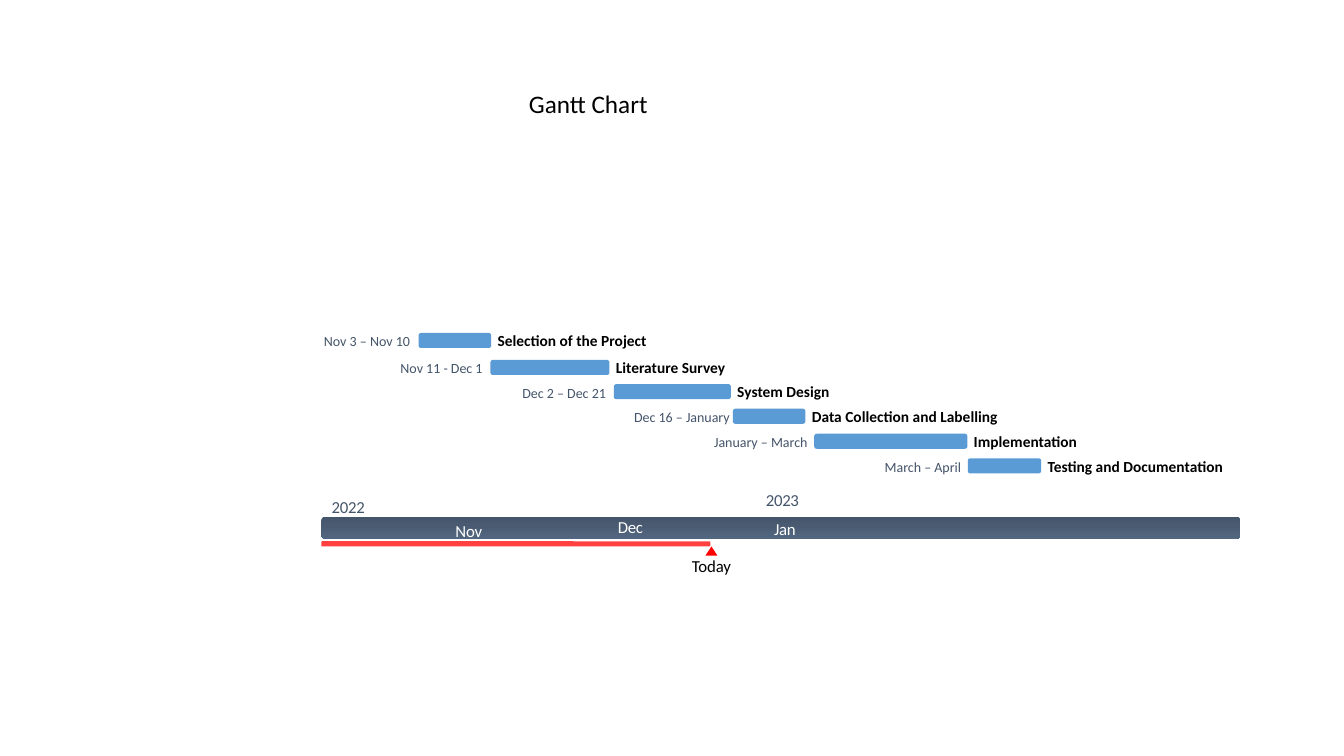
from pptx import Presentation, util as u
from pptx.dml.color import RGBColor
from pptx.enum import shapes, text
from pptx.oxml import ns, xmlchemy

SLATE, BLUE, RED = "44546A", "5B9BD5", "FF0000"
BLACK, WHITE = "000000", "FFFFFF"
LEFT, CENTER, RIGHT = text.PP_ALIGN.LEFT, text.PP_ALIGN.CENTER, text.PP_ALIGN.RIGHT
ROUNDED = shapes.MSO_SHAPE.ROUNDED_RECTANGLE
TRIANGLE = shapes.MSO_SHAPE.ISOSCELES_TRIANGLE

BAR_HEIGHT, DATE_HEIGHT, NAME_HEIGHT, NAME_GAP = 0.38, 0.43, 0.48, 0.16
NAME_WIDTH, MONTH_WIDTH, LABEL_HEIGHT = 5.05, 1, 0.5

TASKS = [
    ("Nov 3 – Nov 10", 0.22, 10.55, 8.58, 1.83, "Selection of the Project"),
    ("Nov 11 - Dec 1", 0.2, 12.36, 9.26, 3, "Literature Survey"),
    ("Dec 2 – Dec 21", 0.2, 15.47, 9.87, 2.95, "System Design"),
    ("Dec 16 – January", 0.08, 18.47, 10.49, 1.83, "Data Collection and Labelling"),
    ("January – March", 0.17, 20.52, 11.12, 3.86, "Implementation"),
    ("March – April", 0.17, 24.39, 11.74, 1.85, "Testing and Documentation"),
]
TIMELINE_LABELS = [
    ("Nov", 11.48, 13.12, WHITE),
    ("Dec", 15.57, 13.03, WHITE),
    ("Jan", 19.51, 13.08, WHITE),
    ("2022", 8.36, 12.52, SLATE),
    ("2023", 19.3, 12.34, SLATE),
]


def color(value):
    return RGBColor.from_string(value)


def write(frame, words, size=12, ink=BLACK, bold=False, align=LEFT, spacing=0, font="Calibri"):
    para = frame.paragraphs[0]
    para.alignment = align
    span = para.add_run()
    span.text = words
    span.font.name = font
    span.font.size = u.Pt(size)
    span.font.bold = bold
    span.font.color.rgb = color(ink)
    if spacing:
        span._r.get_or_add_rPr().set("spc", str(round(spacing * 100)))


class GanttPage:
    def __init__(self, deck):
        self.page = deck.slides.add_slide(deck.slide_layouts[6])

    def shape(self, kind, left, top, width, height, fill, fade=None, opacity=None):
        item = self.page.shapes.add_shape(kind, *map(u.Cm, (left, top, width, height)))
        item.shadow.inherit = False
        item.line.fill.background()
        if fade:
            item.fill.gradient()
            item.fill.gradient_angle = 270
            for stop, value, position in zip(item.fill.gradient_stops, (fill, fade), (0, 1)):
                stop.color.rgb = color(value)
                stop.position = position
        else:
            item.fill.solid()
            item.fill.fore_color.rgb = color(fill)
        if opacity:
            alpha = xmlchemy.OxmlElement("a:alpha")
            alpha.set("val", str(opacity * 1000))
            item.element.spPr.find(ns.qn("a:solidFill"))[0].append(alpha)

    def label(self, words, left, top, width, height, wrap=True, inset=False, **style):
        box = self.page.shapes.add_textbox(*map(u.Cm, (left, top, width, height)))
        frame = box.text_frame
        frame.word_wrap = wrap
        if not inset:
            frame.margin_left = frame.margin_right = 0
            frame.margin_top = frame.margin_bottom = 0
            frame.vertical_anchor = text.MSO_ANCHOR.MIDDLE
        write(frame, words, **style)

    def task(self, date, date_gap, left, middle, width, name, date_width=2.74):
        self.shape(ROUNDED, left, middle - BAR_HEIGHT / 2, width, BAR_HEIGHT, BLUE)
        self.label(date, left - date_gap - date_width, middle + 0.02 - DATE_HEIGHT / 2,
                   date_width, DATE_HEIGHT, size=10, ink=SLATE, align=RIGHT)
        self.label(name, left + width + NAME_GAP, middle - NAME_HEIGHT / 2,
                   NAME_WIDTH, NAME_HEIGHT, size=11, bold=True)


def main():
    deck = Presentation()
    deck.slide_width, deck.slide_height = u.Cm(33.87), u.Cm(19.05)
    gantt = GanttPage(deck)
    gantt.label("Gantt Chart", 13.08, 2.11, 3.56, 1.02, wrap=False, inset=True, size=18)
    gantt.shape(ROUNDED, 8.1, 13.02, 23.16, 0.56, SLATE, fade="52667F")
    gantt.shape(ROUNDED, 8.1, 13.64, 9.8, 0.13, RED, opacity=75)
    gantt.shape(TRIANGLE, 17.78, 13.77, 0.3, 0.23, RED)
    gantt.label("Today", 17.37, 14.02, 1.12, LABEL_HEIGHT, align=CENTER, spacing=-0.1)
    for words, left, top, ink in TIMELINE_LABELS:
        gantt.label(words, left, top, MONTH_WIDTH, LABEL_HEIGHT, ink=ink, spacing=-0.2)
    for task in TASKS:
        gantt.task(*task)
    deck.save("out.pptx")


if __name__ == "__main__":
    main()
